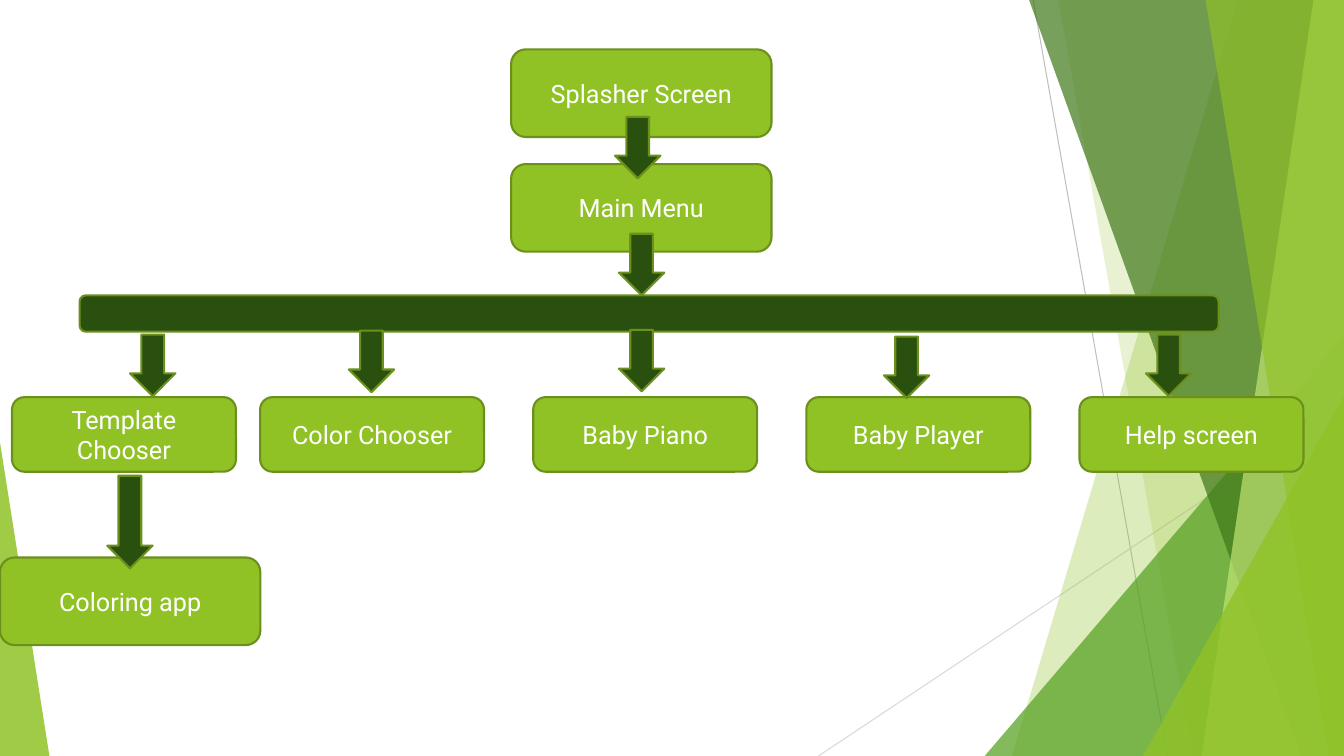
from collections import namedtuple

from lxml import etree
from pptx import Presentation
from pptx.dml.color import RGBColor
from pptx.enum import shapes as kinds, text as txt
from pptx.oxml import ns
from pptx.util import Pt

Box = namedtuple("Box", "left top width height")

WHITE = RGBColor(0xFF, 0xFF, 0xFF)
LIME = RGBColor(0x90, 0xC2, 0x26)
PALE_LIME = RGBColor(0xC0, 0xE4, 0x74)
GREEN = RGBColor(0x54, 0xA0, 0x21)
FOREST = RGBColor(0x3F, 0x78, 0x19)
DARK_GREEN = RGBColor(0x2A, 0x50, 0x10)
OUTLINE = RGBColor(0x6B, 0x90, 0x1C)
GREY = RGBColor(0xBF, 0xBF, 0xBF)
LIGHT_GREY = RGBColor(0xD9, 0xD9, 0xD9)

PROCESS = kinds.MSO_SHAPE.FLOWCHART_ALTERNATE_PROCESS
ARROW_WIDTH, ARROW_HEIGHT = 32.4, 43.9
SCREEN_WIDTH, SCREEN_HEIGHT = 186, 62.6


def style(shape, fill, line=None, opacity=100):
    """Give a shape a flat fill, an optional outline and no shadow."""
    shape.shadow.inherit = False
    shape.fill.solid()
    shape.fill.fore_color.rgb = fill
    if opacity < 100:
        color = shape.fill._xPr.find(ns.qn("a:solidFill"))[0]
        etree.SubElement(color, ns.qn("a:alpha"), val=str(opacity * 1000))
    if line is None:
        shape.line.fill.background()
    else:
        shape.line.color.rgb = line
        shape.line.width = Pt(1.5)


def add_preset(slide, kind, box, fill, **look):
    shape = slide.shapes.add_shape(kind, *map(Pt, box))
    style(shape, fill, **look)
    return shape


def write(shape, words, size=18, font="Roboto", color=WHITE):
    frame = shape.text_frame
    frame.word_wrap = True
    frame.vertical_anchor = txt.MSO_ANCHOR.MIDDLE
    paragraph = frame.paragraphs[0]
    paragraph.alignment = txt.PP_ALIGN.CENTER
    run = paragraph.add_run()
    run.text = words
    run.font.size = Pt(size)
    run.font.name = font
    run.font.color.rgb = color


def add_screen(slide, words, box):
    write(add_preset(slide, PROCESS, box, LIME, line=OUTLINE), words)


def add_arrow(slide, left, top, height=ARROW_HEIGHT):
    add_preset(slide, kinds.MSO_SHAPE.DOWN_ARROW,
               Box(left, top, ARROW_WIDTH, height), DARK_GREEN, line=OUTLINE)


def add_hairline(slide, start, end, color):
    hairline = slide.shapes.add_connector(
        kinds.MSO_CONNECTOR.STRAIGHT, *map(Pt, start + end))
    hairline.line.color.rgb = color
    hairline.line.width = Pt(0.75)
    etree.SubElement(hairline._element.spPr, ns.qn("a:effectLst"))


def add_facet(slide, box, top_x, bottom_x, fill, opacity):
    """Fill from a slanted left edge to the right side of the box."""
    right, bottom = box.left + box.width, box.top + box.height
    outline = slide.shapes.build_freeform(Pt(box.left + top_x), Pt(box.top), scale=1.0)
    corners = [(right, box.top), (right, bottom), (box.left + bottom_x, bottom)]
    outline.add_line_segments([(Pt(x), Pt(y)) for x, y in corners], close=True)
    style(outline.convert_to_shape(), fill, opacity=opacity)


def add_wedge(slide, box, apex, fill, opacity):
    wedge = add_preset(slide, kinds.MSO_SHAPE.ISOSCELES_TRIANGLE, box, fill, opacity=opacity)
    wedge.adjustments[0] = apex


def draw_backdrop(slide, box):
    right, bottom = box.left + box.width, box.top + box.height

    def right_wedge(width, height, fill, opacity):
        add_wedge(slide, Box(right - width, bottom - height, width, height), 1, fill, opacity)

    add_hairline(slide, (box.left + 738, box.top), (box.left + 833.8, bottom), GREY)
    add_hairline(slide, (right, box.top + 290.2), (box.left + 584.6, bottom), LIGHT_GREY)
    add_facet(slide, box, 884.2, 722.9, LIME, 30)
    add_facet(slide, box, 756, 851.8, LIME, 20)
    right_wedge(256.6, 300.2, GREEN, 72)
    for top_x, bottom_x, fill, opacity in [(735.1, 929.5, FOREST, 70),
                                           (938.2, 858.2, PALE_LIME, 70),
                                           (861.1, 949, LIME, 65)]:
        add_facet(slide, box, top_x, bottom_x, fill, opacity)
    right_wedge(143.5, 257, LIME, 80)
    add_wedge(slide, Box(box.left, bottom - 224, 35.3, 224), 0, LIME, 85)


def draw_start(slide, box):
    """Stack the two opening screens, each with an arrow leaving it."""
    for row, words in enumerate(["Splasher Screen", "Main Menu"]):
        top = box.top + row * (box.height - SCREEN_HEIGHT)
        add_screen(slide, words, Box(box.left, top, box.width, SCREEN_HEIGHT))
    add_arrow(slide, box.left + 74.2, box.top + 48.2)
    add_arrow(slide, box.left + 77, box.top + 131.7)


def draw_menu_choices(slide, box):
    """Draw the distribution bar, the row of screens and their arrows."""
    width, height, pitch = 160, 53.3, 195.1
    add_preset(slide, PROCESS, Box(box.left + 48.3, box.top, 813.6, 25.9),
               DARK_GREEN, line=OUTLINE)
    fourth = box.left + box.width - width - pitch
    choices = [("Template Chooser", box.left, 84.3, 28),
               ("Color Chooser", box.left + 177.2, 63.3, 25.2),
               ("Baby Piano", fourth - pitch, 61.2, 24.6),
               ("Baby Player", fourth, 55.4, 29.4),
               ("Help screen", fourth + pitch, 47.5, 28)]
    for words, left, arrow_left, arrow_top in choices:
        add_screen(slide, words, Box(left, box.top + box.height - height, width, height))
        add_arrow(slide, left + arrow_left, box.top + arrow_top)


def draw_coloring(slide, box):
    add_screen(slide, "Coloring app",
               Box(box.left, box.top + box.height - SCREEN_HEIGHT, box.width, SCREEN_HEIGHT))
    add_arrow(slide, box.left + 76.6, box.top, height=66.2)


def main():
    deck = Presentation()
    deck.slide_width, deck.slide_height = Pt(960), Pt(540)
    slide = deck.slides.add_slide(deck.slide_layouts[6])
    draw_backdrop(slide, Box(0, 0, 960, 540))
    draw_start(slide, Box(365.1, 35.3, SCREEN_WIDTH, 144.5))
    draw_menu_choices(slide, Box(8.6, 211, 922.5, 126))
    draw_coloring(slide, Box(0, 339.8, SCREEN_WIDTH, 121))
    deck.save("out.pptx")


if __name__ == "__main__":
    main()
